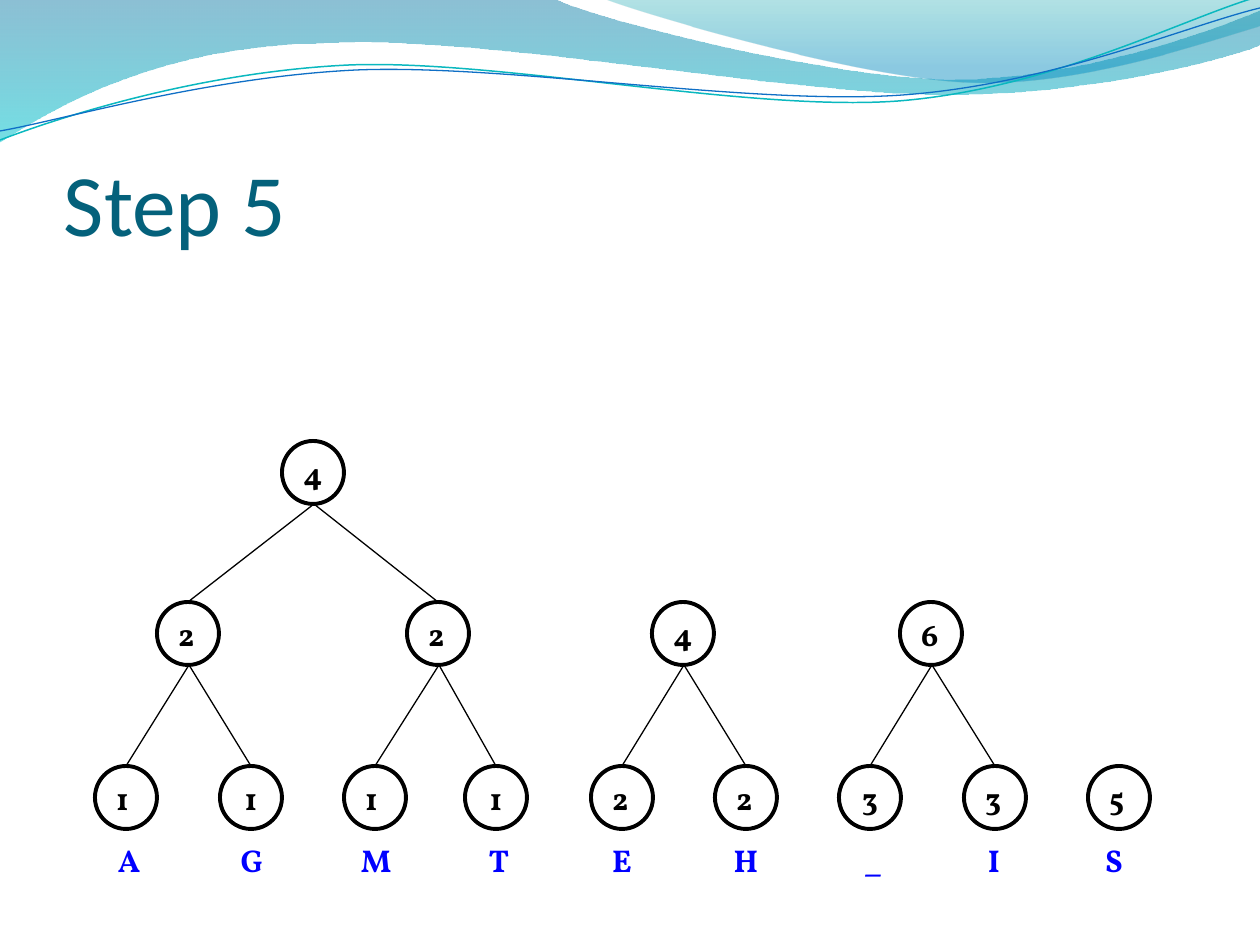
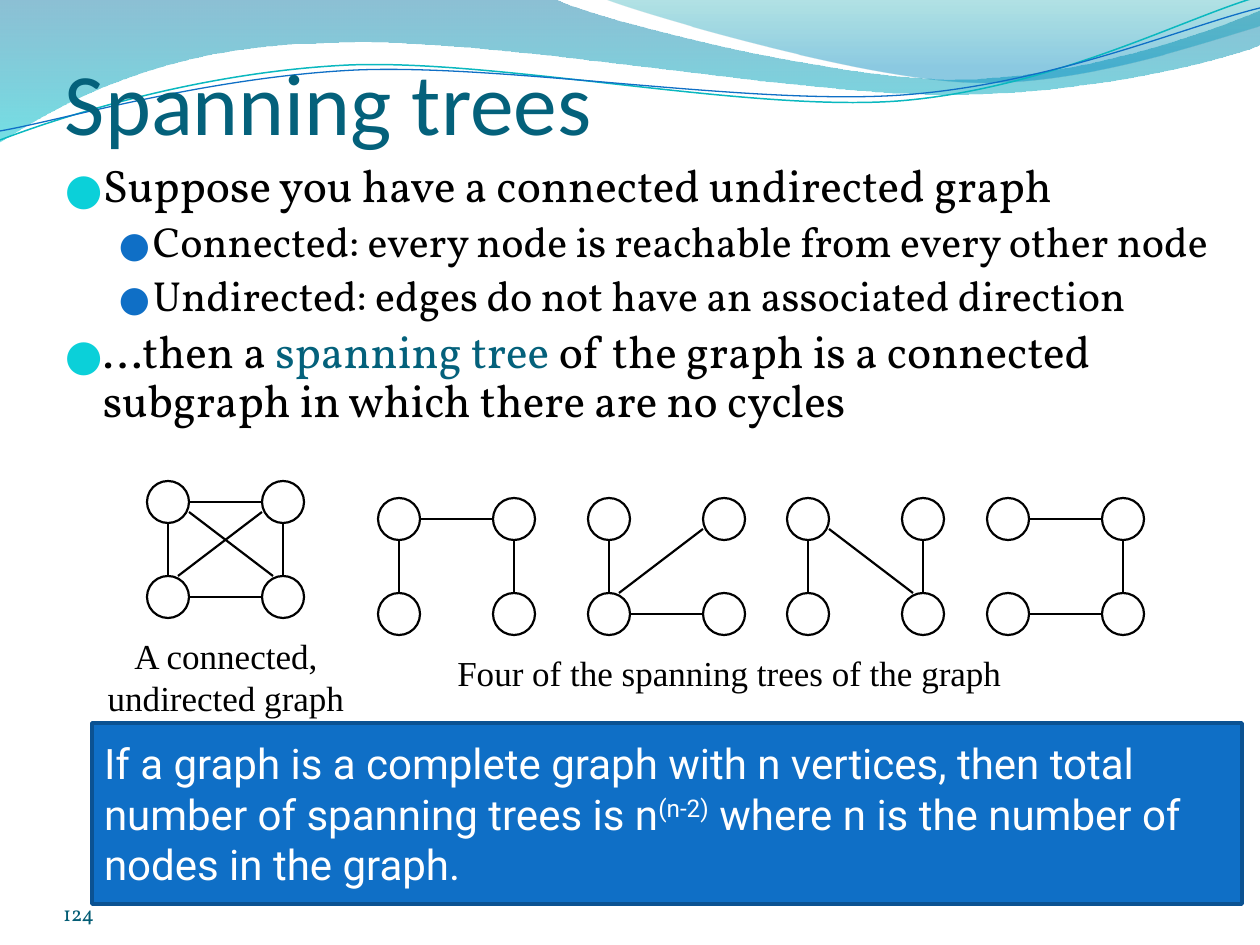
from lxml.etree import SubElement
from pptx import Presentation
from pptx.dml.color import RGBColor
from pptx.enum.shapes import MSO_CONNECTOR, MSO_SHAPE
from pptx.enum.text import MSO_ANCHOR, PP_ALIGN
from pptx.oxml.ns import qn
from pptx.util import Emu, Pt

PX = 914400 / 126
BLACK, WHITE = "000000", "FFFFFF"
BLUE, AQUA, TEAL = "0F6FC6", "0BD0D9", "04617B"
HEADING, BODY, CAPTION, CALLOUT = "Calibri", "Vollkorn", "Times New Roman", "Roboto"
INSETS = (12, 6, 12, 6)
LEFT, CENTER = PP_ALIGN.LEFT, PP_ALIGN.CENTER

BANDS = [
    ([(0, 0), (554, -1), (600, 21, 837, 79, 955, 79), (1075, 79, 1207, 33, 1260, 11),
      (1261, 45), (1238, 55, 1096, 96, 940, 94), (784, 94, 481, 35, 324, 43),
      (163, 45, 58, 105, -1, 142)],
     [(0, "0074A1", 45), (1, "00C6CF", 55)]),
    ([(604, -1), (641, 14, 859, 78, 969, 82), (1079, 87, 1211, 40, 1260, 26), (1260, 0)],
     [(0, "00A1A9", 30), (0.8, "008BBF", 45)]),
]
RIBBONS = [
    ([(0, 140), (60, 117, 199, 72, 349, 65), (498, 59, 747, 112, 898, 101),
      (1050, 89, 1182, 19, 1257, -3)], "0AB8BF", 0.85),
    ([(0, 131), (59, 121, 207, 77, 357, 70), (508, 64, 752, 106, 903, 95),
      (1053, 84, 1186, 26, 1260, 8)], BLUE, 0.75),
]

NODE_WIDTH, NODE_HEIGHT = 62, 63
LEAF_TOP, PAIR_TOP, ROOT_TOP, LETTER_TOP = 766, 602, 441, 835
LEAVES = [
    ("A", 129, 1, 126, LEFT), ("G", 252, 1, 251, CENTER), ("M", 376, 1, 375, LEFT),
    ("T", 499, 1, 496, CENTER), ("E", 622, 2, 622, LEFT), ("H", 746, 2, 746, LEFT),
    ("_", 873, 3, 870, CENTER), ("I", 994, 3, 995, LEFT), ("S", 1114, 5, 1119, LEFT),
]
PAIRS = [(2, 188, LEFT), (2, 438, LEFT), (4, 683, CENTER), (6, 931, LEFT)]
ROOT = (4, 313, CENTER)

VERTEX, COLUMN_PITCH, ROW_PITCH = 42, 115, 95
MIDDLE, SLANT = 21, 31
EDGES = {
    "left": (MIDDLE, VERTEX, MIDDLE, ROW_PITCH),
    "right": (COLUMN_PITCH + MIDDLE, VERTEX, COLUMN_PITCH + MIDDLE, ROW_PITCH),
    "top": (VERTEX, MIDDLE, COLUMN_PITCH, MIDDLE),
    "bottom": (VERTEX, ROW_PITCH + MIDDLE, COLUMN_PITCH, ROW_PITCH + MIDDLE),
    "rising": (SLANT, ROW_PITCH, COLUMN_PITCH, SLANT),
    "falling": (VERTEX, SLANT, COLUMN_PITCH + VERTEX - SLANT, ROW_PITCH),
}
GRAPHS = [
    (147, 481, list(EDGES)),
    (378, 498, ["left", "right", "top"]),
    (588, 498, ["left", "bottom", "rising"]),
    (787, 498, ["left", "right", "falling"]),
    (987, 498, ["right", "top", "bottom"]),
]

BULLETS = [(38, -38, AQUA, 95, 26), (88, -34, BLUE, 85, 24)]
POINTS = [
    (0, [("Suppose you have a connected undirected graph", BLACK)]),
    (1, [("Connected: every node is reachable from every other node", BLACK)]),
    (1, [("Undirected: edges do not have an associated direction", BLACK)]),
    (0, [("...then a ", BLACK), ("spanning tree", TEAL),
         (" of the graph is a connected subgraph in which there are no cycles", BLACK)]),
]


def px(length):
    """Turn pixels into EMU."""
    return Emu(round(length * PX))


def rgb(value):
    """Turn a hex string into a colour."""
    return RGBColor.from_string(value)


def set_font(font, name, size, color, bold=False):
    """Set the face, size and colour of a font."""
    font.name, font.size, font.bold = name, Pt(size), bold
    font.color.rgb = rgb(color)


def set_outline(shape, color, width):
    """Give a shape a solid outline and no shadow."""
    shape.shadow.inherit = False
    shape.line.color.rgb = rgb(color)
    shape.line.width = Pt(width)


def set_frame(frame, anchor, insets=INSETS, wrap=True):
    """Set the wrapping, anchor and insets of a text frame."""
    frame.word_wrap = wrap
    frame.vertical_anchor = anchor
    (frame.margin_left, frame.margin_top,
     frame.margin_right, frame.margin_bottom) = map(px, insets)


def add_text(slide, box, text, font, size, color, bold=False, align=LEFT,
             anchor=MSO_ANCHOR.TOP, insets=INSETS):
    """Add a text box with one paragraph."""
    frame = slide.shapes.add_textbox(*map(px, box)).text_frame
    set_frame(frame, anchor, insets)
    paragraph = frame.paragraphs[0]
    paragraph.text = text
    paragraph.alignment = align
    set_font(paragraph.font, font, size, color, bold)


def add_line(slide, ends, width):
    """Add a black straight line."""
    line = slide.shapes.add_connector(MSO_CONNECTOR.STRAIGHT, *map(px, ends))
    line.line.color.rgb = rgb(BLACK)
    line.line.width = Pt(width)
    SubElement(line._element.spPr, qn("a:effectLst"))
    return line


def add_circle(slide, preset, box, width):
    """Add an unfilled black circle."""
    circle = slide.shapes.add_shape(preset, *map(px, box))
    circle.fill.background()
    set_outline(circle, BLACK, width)
    return circle


def add_curve(slide, steps, close):
    """Add a freeform of straight steps and cubic curves."""
    ends = [step[-2:] for step in steps]
    builder = slide.shapes.build_freeform(*ends[0], scale=PX)
    builder.add_line_segments(ends[1:], close=close)
    curve = builder.convert_to_shape()
    curve.shadow.inherit = False
    left, top = (min(axis) for axis in zip(*ends))
    segments = list(curve._element.iter(qn("a:lnTo")))
    for segment, step in zip(segments, steps[1:]):
        if len(step) == 6:
            segment.tag = qn("a:cubicBezTo")
            segment.clear()
            for x, y in zip(step[::2], step[1::2]):
                SubElement(segment, qn("a:pt"), x=str(x - left), y=str(y - top))
    return curve


def add_waves(slide):
    """Draw the bands and ribbons and hand them to the shared layout."""
    curves = []
    for steps, stops in BANDS:
        band = add_curve(slide, steps, True)
        band.line.fill.background()
        band.fill.gradient()
        band.fill.gradient_angle = 270
        for stop, (position, color, opacity) in zip(band.fill.gradient_stops, stops):
            stop.position = position
            stop.color.rgb = rgb(color)
            tint = stop._gs.find(qn("a:srgbClr"))
            SubElement(tint, qn("a:alpha"), val=str(opacity * 1000))
        curves.append(band)
    for steps, color, width in RIBBONS:
        ribbon = add_curve(slide, steps, False)
        ribbon.fill.background()
        set_outline(ribbon, color, width)
        curves.append(ribbon)
    for curve in curves:
        slide.slide_layout.shapes._spTree.append(curve._element)


def start_slide(deck, title, left, top):
    """Add a blank slide with a title."""
    slide = deck.slides.add_slide(deck.slide_layouts[6])
    add_text(slide, (left, top, 1134, 158), title, HEADING, 50, TEAL,
             anchor=MSO_ANCHOR.BOTTOM, insets=(0, 6, 0, 0))
    return slide


def add_tree_node(slide, top, weight, center, align):
    """Add a weighted node and return it with its centre and top."""
    box = (center - NODE_WIDTH // 2, top, NODE_WIDTH, NODE_HEIGHT)
    node = add_circle(slide, MSO_SHAPE.FLOWCHART_CONNECTOR, box, 2.25)
    set_frame(node.text_frame, MSO_ANCHOR.MIDDLE, wrap=False)
    paragraph = node.text_frame.paragraphs[0]
    paragraph.text = str(weight)
    paragraph.alignment = align
    set_font(paragraph.font, BODY, 18, BLACK, True)
    return node, center, top


def merge(slide, children, top, weight, center, align):
    """Add a parent above two nodes and join them to it."""
    for node, child_center, child_top in children:
        edge = add_line(slide, (child_center, child_top, center + 1, top + NODE_HEIGHT), 0.75)
        edge.begin_connect(node, 0)
    return add_tree_node(slide, top, weight, center, align)


def add_huffman_forest(slide):
    """Draw the leaves with their letters and the merged trees."""
    leaves = []
    for letter, letter_center, *leaf in LEAVES:
        leaves.append(add_tree_node(slide, LEAF_TOP, *leaf))
        add_text(slide, (letter_center - 31, LETTER_TOP, 62, 63), letter,
                 BODY, 18, "0000FF", True, CENTER)
    pairs = [merge(slide, leaves[2 * i:2 * i + 2], PAIR_TOP, *pair)
             for i, pair in enumerate(PAIRS)]
    merge(slide, pairs[:2], ROOT_TOP, *ROOT)


def add_graph(slide, left, top, edges):
    """Draw four vertices in a square and the named edges."""
    for column in (0, COLUMN_PITCH):
        for row in (0, ROW_PITCH):
            box = (left + column, top + row, VERTEX, VERTEX)
            add_circle(slide, MSO_SHAPE.OVAL, box, 1.25)
    for edge in edges:
        x1, y1, x2, y2 = EDGES[edge]
        add_line(slide, (left + x1, top + y1, left + x2, top + y2), 1.25)


def add_bullet(paragraph, level):
    """Give a paragraph the indent and round bullet of its level."""
    margin, indent, color, percent, _ = BULLETS[level]
    properties = paragraph._p.get_or_add_pPr()
    properties.set("marL", str(px(margin)))
    properties.set("indent", str(px(indent)))
    SubElement(SubElement(properties, qn("a:buClr")), qn("a:srgbClr"), val=color)
    SubElement(properties, qn("a:buSzPct"), val=str(percent * 1000))
    SubElement(properties, qn("a:buFont"), typeface="Noto Sans Symbols")
    SubElement(properties, qn("a:buChar"), char="●")


def add_points(slide):
    """Add the bulleted definition of a spanning tree."""
    frame = slide.shapes.add_textbox(*map(px, (53, 157, 1182, 306))).text_frame
    set_frame(frame, MSO_ANCHOR.TOP)
    for i, (level, pieces) in enumerate(POINTS):
        paragraph = frame.add_paragraph() if i else frame.paragraphs[0]
        paragraph.level = level
        add_bullet(paragraph, level)
        paragraph.line_spacing = 0.9
        paragraph.space_before = Pt(5 if i else 0)
        set_font(paragraph.font, BODY, BULLETS[level][-1], BLACK)
        for text, color in pieces:
            run = paragraph.add_run()
            run.text = text
            run.font.color.rgb = rgb(color)


def add_callout(slide):
    """Add the blue box that counts the spanning trees."""
    callout = slide.shapes.add_shape(MSO_SHAPE.RECTANGLE, *map(px, (92, 723, 1150, 181)))
    callout.fill.solid()
    callout.fill.fore_color.rgb = rgb(BLUE)
    set_outline(callout, "0B5292", 2)
    set_frame(callout.text_frame, MSO_ANCHOR.MIDDLE)
    paragraph = callout.text_frame.paragraphs[0]
    paragraph.alignment = LEFT
    set_font(paragraph.font, CALLOUT, 24, WHITE)
    before, exponent, after = (paragraph.add_run() for _ in range(3))
    before.text = ("If a graph is a complete graph with n vertices, "
                   "then total number of spanning trees is n")
    exponent.text = "(n-2)"
    exponent._r.get_or_add_rPr().set("baseline", "30000")
    after.text = " where n is the number of nodes in the graph."


def main():
    """Build both slides and save them."""
    deck = Presentation()
    deck.slide_width, deck.slide_height = px(1260), px(945)

    huffman = start_slide(deck, "Step 5", 64, 96)
    add_waves(huffman)
    add_huffman_forest(huffman)

    spanning = start_slide(deck, "Spanning trees", 65, -5)
    add_text(spanning, (63, 876, 294, 50), "124", BODY, 12, "045D75",
             anchor=MSO_ANCHOR.BOTTOM, insets=(0, 0, 0, 0))
    add_points(spanning)
    for left, top, edges in GRAPHS:
        add_graph(spanning, left, top, edges)
    for box, caption in [
        ((84, 628, 284, 97), "A connected,\vundirected graph"),
        ((378, 645, 703, 54), "Four of the spanning trees of the graph"),
    ]:
        add_text(spanning, box, caption, CAPTION, 20, BLACK, align=CENTER)
    add_callout(spanning)
    deck.save("out.pptx")


if __name__ == "__main__":
    main()
